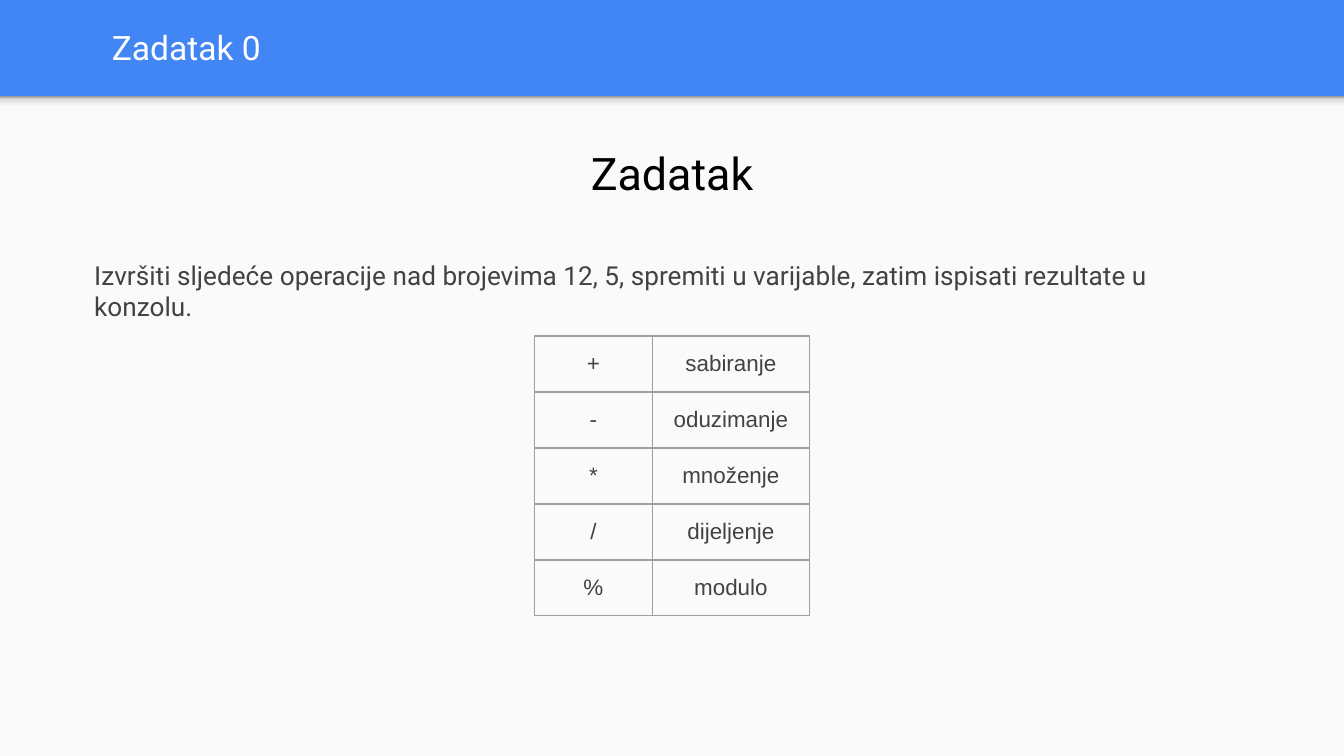
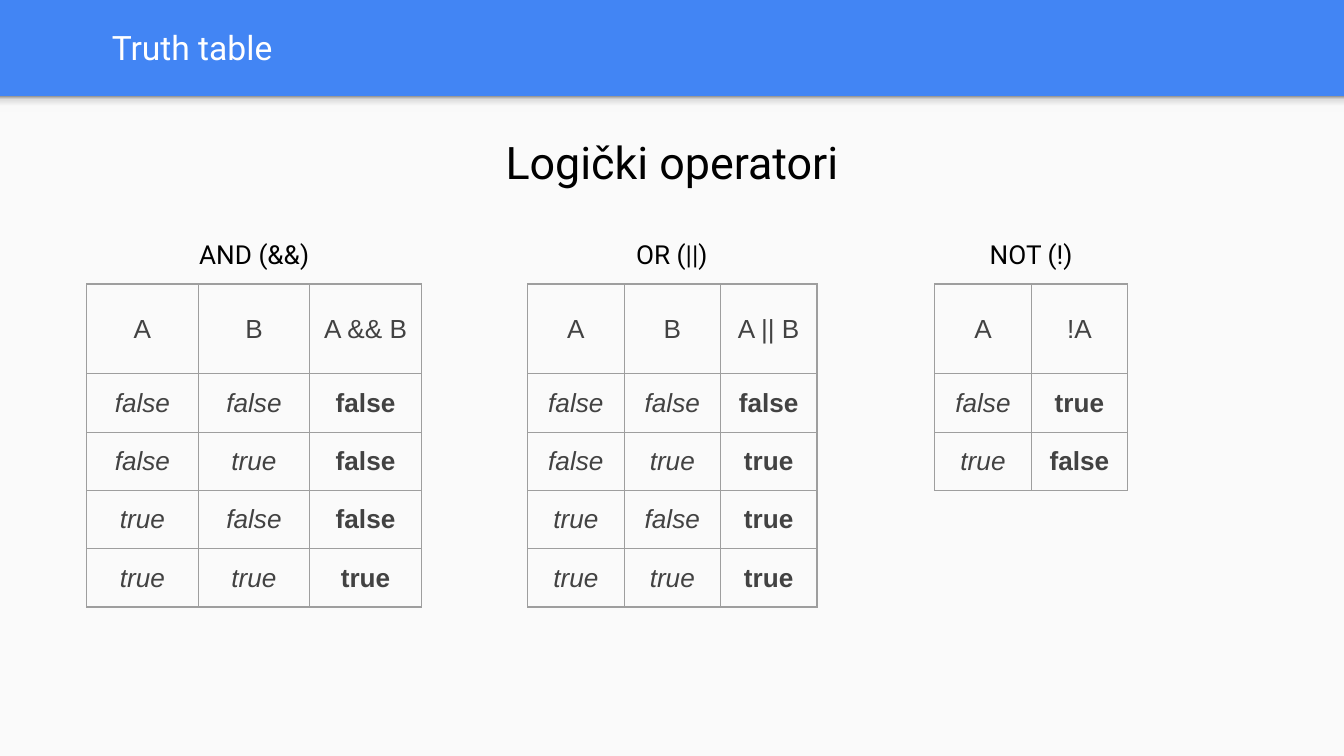
from lxml import etree
from pptx import Presentation
from pptx.dml.color import RGBColor
from pptx.enum.shapes import MSO_SHAPE
from pptx.enum.text import MSO_ANCHOR, PP_ALIGN
from pptx.oxml.ns import qn
from pptx.util import Pt

RECT = MSO_SHAPE.RECTANGLE
TOP, MIDDLE = MSO_ANCHOR.TOP, MSO_ANCHOR.MIDDLE
LEFT, CENTER = PP_ALIGN.LEFT, PP_ALIGN.CENTER

# Shared look
WIDTH, HEIGHT, BAND = 720, 405, 51.6
BLUE, PAPER, WHITE = "4285F4", "FAFAFA", "FFFFFF"
BLACK, GRAY, RULE = "000000", "424242", "9E9E9E"
SHADE = [(0, "F9F9F9"), (36, "F9F9F9"), (80, "DEDEDE"), (100, "999999")]
HEAD, BODY = "Roboto", "Arial"
INSET = 7.2


def color(code):
    return RGBColor.from_string(code)


def write(frame, text, size=14, font=HEAD, ink=BLACK, align=CENTER,
          bold=False, italic=False):
    para = frame.paragraphs[0]
    para.alignment = align
    run = para.add_run()
    run.text = text
    run.font.size = Pt(size)
    run.font.name = font
    run.font.bold = bold
    run.font.italic = italic
    run.font.color.rgb = color(ink)


def pad(item):
    item.margin_left = item.margin_right = Pt(INSET)
    item.margin_top = item.margin_bottom = Pt(INSET)


def label(slide, text, x, y, w, h, anchor=MIDDLE, **style):
    frame = slide.shapes.add_textbox(Pt(x), Pt(y), Pt(w), Pt(h)).text_frame
    frame.word_wrap = True
    frame.vertical_anchor = anchor
    pad(frame)
    write(frame, text, **style)


def panel(slide, y, h):
    shape = slide.shapes.add_shape(RECT, 0, Pt(y), Pt(WIDTH), Pt(h))
    shape.shadow.inherit = False
    shape.line.fill.background()
    return shape


def shade(shape):
    """Fill the shape with the soft drop below the blue band."""
    shape.fill.gradient()
    shape.fill.gradient_angle = 90
    stops = shape.element.spPr.find(".//" + qn("a:gsLst"))
    for stop in list(stops):
        stops.remove(stop)
    for place, code in SHADE:
        stop = etree.SubElement(stops, qn("a:gs"), pos=str(place * 1000))
        etree.SubElement(stop, qn("a:srgbClr"), val=code)


def border(cell):
    props = cell._tc.get_or_add_tcPr()
    for spot, side in enumerate(("a:lnL", "a:lnR", "a:lnT", "a:lnB")):
        line = etree.Element(qn(side), w=str(Pt(0.75)))
        fill = etree.SubElement(line, qn("a:solidFill"))
        etree.SubElement(fill, qn("a:srgbClr"), val=RULE)
        props.insert(spot, line)


def grid(slide, rows, x, y, widths, heights, size, truth=False):
    """Draw a ruled table; a truth table has slanted inputs, bold results."""
    table = slide.shapes.add_table(
        len(rows), len(widths), Pt(x), Pt(y),
        Pt(sum(widths)), Pt(sum(heights))).table
    table.first_row = table.horz_banding = False
    for col, width in zip(table.columns, widths):
        col.width = Pt(width)
    for row, height in zip(table.rows, heights):
        row.height = Pt(height)
    for r, row in enumerate(rows):
        for c, text in enumerate(row):
            cell = table.cell(r, c)
            cell.fill.background()
            cell.vertical_anchor = MIDDLE
            pad(cell)
            border(cell)
            value = truth and r > 0
            last = c == len(row) - 1
            write(cell.text_frame, text, size=size, font=BODY, ink=GRAY,
                  bold=value and last, italic=value and not last)


def page(deck, title, topic, y):
    """Add a slide with the blue band, its title and a centred topic."""
    slide = deck.slides.add_slide(deck.slide_layouts[6])
    back = slide.background.fill
    back.solid()
    back.fore_color.rgb = color(BLUE)
    paper = panel(slide, BAND, HEIGHT - BAND)
    paper.fill.solid()
    paper.fill.fore_color.rgb = color(PAPER)
    shade(panel(slide, BAND, 8.6))
    label(slide, title, 52.8, 1.6, 667.2, 47.8,
          size=18, ink=WHITE, align=LEFT)
    label(slide, topic, 132.2, y, 455.6, 44, anchor=TOP, size=24)
    return slide


def task(deck):
    slide = page(deck, "Zadatak 0", "Zadatak", 70.8)
    label(slide, "Izvršiti sljedeće operacije nad brojevima 12, 5, spremiti "
          "u varijable, zatim ispisati rezultate u konzolu.",
          43.4, 131.8, 633, 31.6, anchor=TOP, ink=GRAY, align=LEFT)
    rows = [("+", "sabiranje"), ("-", "oduzimanje"), ("*", "množenje"),
            ("/", "dijeljenje"), ("%", "modulo")]
    grid(slide, rows, 286.3, 180, [63.2, 84.2], [30] * len(rows), 12)


def word(value):
    return "true" if value else "false"


def truth(deck):
    slide = page(deck, "Truth table", "Logički operatori", 64.8)
    pairs = [(a, b) for a in (False, True) for b in (False, True)]
    both = [("A", "B", "A && B")]
    both += [(word(a), word(b), word(a and b)) for a, b in pairs]
    some = [("A", "B", "A || B")]
    some += [(word(a), word(b), word(a or b)) for a, b in pairs]
    flip = [("A", "!A")]
    flip += [(word(a), word(not a)) for a in (False, True)]

    # Name, rows, name left, table left, column width
    parts = [("AND (&&)", both, 90, 46.4, 59.8),
             ("OR (||)", some, 313.8, 282.7, 51.65),
             ("NOT (!)", flip, 506.2, 500.8, 51.65)]
    for name, rows, left, x, width in parts:
        grid(slide, rows, x, 152.2, [width] * len(rows[0]),
             [48.1] + [31.2] * (len(rows) - 1), 14, truth=True)
        label(slide, name, left, 120.5, 92.4, 31.6)


def main():
    deck = Presentation()
    deck.slide_width, deck.slide_height = Pt(WIDTH), Pt(HEIGHT)
    task(deck)
    truth(deck)
    deck.save("out.pptx")


if __name__ == "__main__":
    main()
